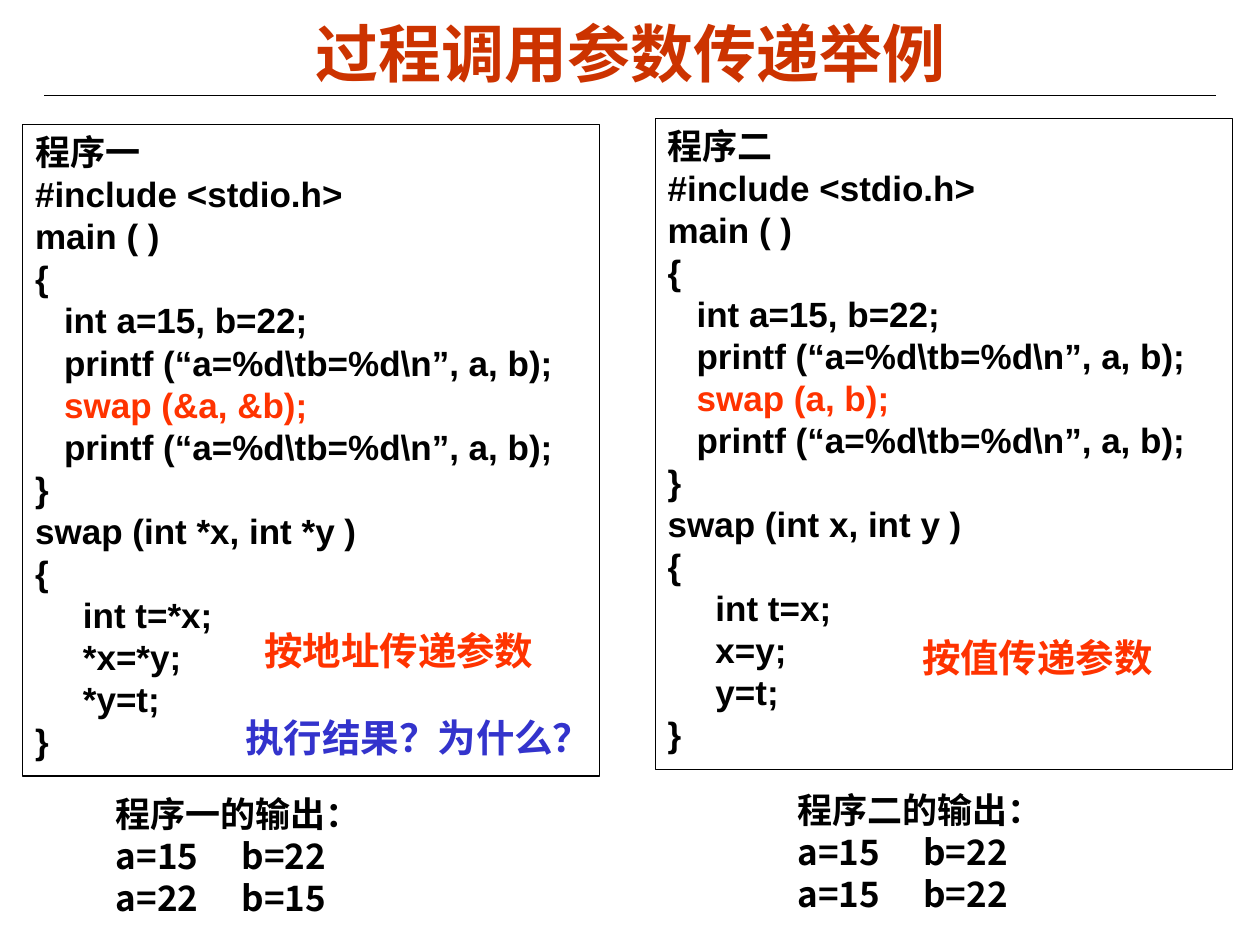
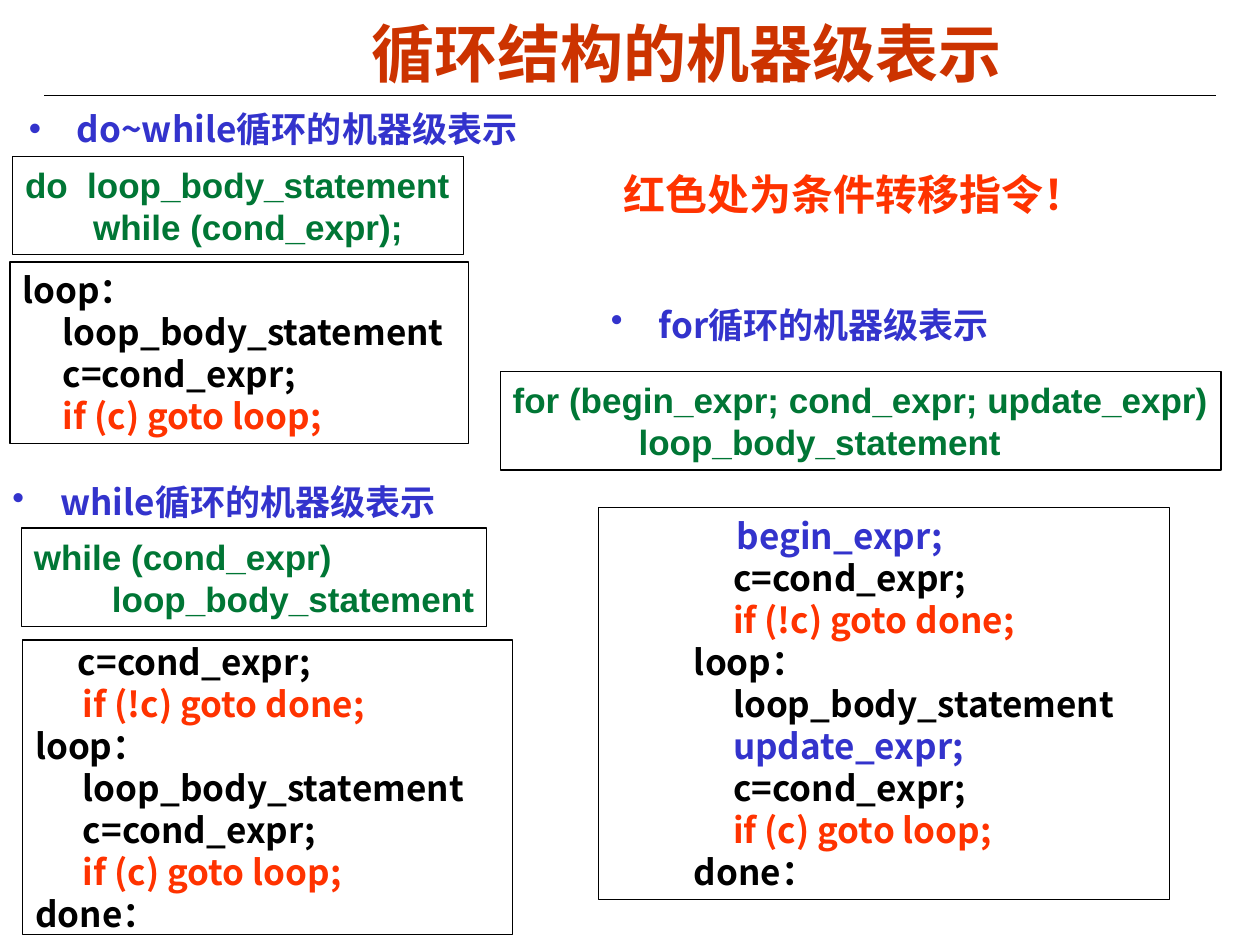
from lxml import etree
from pptx import Presentation
from pptx.dml.color import RGBColor
from pptx.enum.shapes import MSO_CONNECTOR, MSO_SHAPE
from pptx.enum.text import MSO_ANCHOR, MSO_AUTO_SIZE, PP_ALIGN
from pptx.oxml.ns import qn
from pptx.util import Inches, Pt

BLACK = RGBColor(0x00, 0x00, 0x00)
WHITE = RGBColor(0xFF, 0xFF, 0xFF)
RUST = RGBColor(0xCC, 0x33, 0x00)
RED = RGBColor(0xFF, 0x33, 0x00)
BLUE = RGBColor(0x33, 0x33, 0xCC)
GREEN = RGBColor(0x00, 0x76, 0x35)
LATIN, CJK = "Arial", "Noto Sans CJK SC"
LEADING = 1.2  # line pitch as a multiple of the text size


def place(sp, box):
    sp.left, sp.top, sp.width, sp.height = (Inches(v) for v in box)


def write(sp, lines, size=20, font=CJK, color=BLACK, align=PP_ALIGN.LEFT,
          anchor=MSO_ANCHOR.TOP, inset=(0.1, 0.05, 0.05, 0.05), spacing=1,
          bullet=False):
    """Fill sp with lines, each a string or (indent in inches, string[, colour])."""
    tf = sp.text_frame
    tf.word_wrap, tf.auto_size = True, MSO_AUTO_SIZE.NONE
    tf.vertical_anchor = anchor
    tf.margin_left, tf.margin_top, tf.margin_right, tf.margin_bottom = (
        Inches(v) for v in inset)
    for i, line in enumerate(lines):
        indent, text, *tint = (0, line) if isinstance(line, str) else line
        p = tf.paragraphs[0] if i == 0 else tf.add_paragraph()
        p.alignment = align
        p.space_before = Pt(0)
        p.line_spacing = Pt(round(size * LEADING * spacing, 1))
        pPr = p._p.get_or_add_pPr()
        hang = 0.38 if bullet else 0
        pPr.set("marL", str(Inches(indent + hang)))
        pPr.set("indent", str(Inches(-hang)))
        if bullet:
            etree.SubElement(pPr, qn("a:buChar")).set("char", "•")
        r = p.add_run()
        r.text = text
        r.font.size, r.font.bold, r.font.name = Pt(size), True, font
        r.font.color.rgb = tint[0] if tint else color
        etree.SubElement(r._r.get_or_add_rPr(), qn("a:ea")).set("typeface", CJK)


def add_label(s, box, lines, **fmt):
    sp = s.shapes.add_textbox(*(Inches(v) for v in box))
    write(sp, lines, **fmt)


def add_frame(s, box, lines, fill=None, **fmt):
    """Code in a thin black frame."""
    sp = s.shapes.add_shape(MSO_SHAPE.RECTANGLE, *(Inches(v) for v in box))
    sp.shadow.inherit = False
    if fill is None:
        sp.fill.background()
    else:
        sp.fill.solid()
        sp.fill.fore_color.rgb = fill
    sp.line.color.rgb, sp.line.width = BLACK, Pt(0.75)
    write(sp, lines, **fmt)


def add_header(s, title, shift=0):
    """Title with the rule below it; shift moves the centred title right."""
    rule = s.shapes.add_connector(MSO_CONNECTOR.STRAIGHT, Inches(0.35),
                                  Inches(0.76), Inches(9.65), Inches(0.76))
    rule.line.color.rgb, rule.line.width = BLACK, Pt(0.75)
    etree.SubElement(rule._element.spPr, qn("a:effectLst"))
    place(s.shapes.title, (0.5, 0.11, 9, 0.61))
    write(s.shapes.title, [title], size=36, font=LATIN, color=RUST,
          align=PP_ALIGN.CENTER, anchor=MSO_ANCHOR.MIDDLE,
          inset=(0.1 + 2 * shift, 0.05, 0.1, 0.05))


def add_program(s, box, name, call, params, body):
    """Listing of a program that calls swap."""
    show = (0.23, "printf (“a=%d\\tb=%d\\n”, a, b);")
    lines = [name, "#include <stdio.h>", "main ( )", "{",
             (0.23, "int a=15, b=22;"), show, (0.23, call, RED), show, "}",
             f"swap ({params} )", "{", *((0.38, step) for step in body), "}"]
    add_frame(s, box, lines, font=LATIN)


def add_output(s, box, name, after):
    add_label(s, box, [f"{name}的输出：", "a=15\tb=22", after],
              inset=(0.1, 0, 0.1, 0))


def add_syntax(s, box, lines, **fmt):
    add_frame(s, box, lines, font=LATIN, color=GREEN,
              anchor=MSO_ANCHOR.MIDDLE, **fmt)


def build_parameter_slide(prs):
    s = prs.slides.add_slide(prs.slide_layouts[5])
    add_header(s, "过程调用参数传递举例")
    # Outputs
    add_output(s, (0.82, 6.29, 2.56, 0.95), "程序一", "a=22\tb=15")
    add_output(s, (6.23, 6.26, 2.42, 0.98), "程序二", "a=15\tb=22")
    # Programs
    add_program(s, (0.18, 0.99, 4.58, 5.17), "程序一", "swap (&a, &b);",
                "int *x, int *y", ["int t=*x;", "*x=*y;", "*y=t;"])
    add_program(s, (5.2, 0.94, 4.58, 5.17), "程序二", "swap (a, b);",
                "int x, int y", ["int t=x;", "x=y;", "y=t;"])
    # Remarks
    add_label(s, (2, 4.93, 2.34, 0.47), ["按地址传递参数"], size=22, color=RED)
    add_label(s, (7.22, 4.98, 2.03, 0.47), ["按值传递参数"], size=22, color=RED)
    add_label(s, (1.85, 5.62, 2.95, 0.47), ["执行结果？为什么？"], size=22, color=BLUE)


def build_loop_slide(prs):
    s = prs.slides.add_slide(prs.slide_layouts[1])
    add_header(s, "循环结构的机器级表示", shift=0.45)
    heading = dict(color=BLUE, bullet=True)
    body, test = "loop_body_statement", "c=cond_expr;"
    again, leave = "if (c) goto loop;", "if (!c) goto done;"

    # do~while loop
    sp = s.placeholders[1]
    place(sp, (0.13, 0.75, 4.33, 0.54))
    write(sp, ["do~while循环的机器级表示"], spacing=1.15, **heading)
    add_syntax(s, (0.1, 1.24, 3.58, 0.78),
               [f"do  {body}", (0.54, "while (cond_expr);")], fill=WHITE)
    add_frame(s, (0.08, 2.08, 3.64, 1.44),
              ["loop：", (0.32, body), (0.32, test), (0.32, again, RED)],
              anchor=MSO_ANCHOR.MIDDLE)

    # while loop
    add_label(s, (0, 3.65, 4.33, 0.54), ["while循环的机器级表示"],
              spacing=1.35, **heading)
    add_syntax(s, (0.17, 4.19, 3.69, 0.78), ["while (cond_expr)", (0.62, body)])
    add_frame(s, (0.18, 5.08, 3.89, 2.34),
              [(0.34, test), (0.38, leave, RED), "loop：", (0.38, body),
               (0.38, test), (0.38, again, RED), "done："],
              inset=(0.1, 0, 0.1, 0))

    # for loop
    add_label(s, (4.75, 2.31, 4.33, 0.54), ["for循环的机器级表示"],
              spacing=1.15, **heading)
    add_syntax(s, (3.97, 2.95, 5.72, 0.78),
               ["for (begin_expr; cond_expr; update_expr)", (1, body)])
    add_frame(s, (4.75, 4.03, 4.53, 3.11),
              [(1, "begin_expr;", BLUE), (0.97, test), (0.97, leave, RED),
               (0.66, "loop："), (0.97, body), (0.97, "update_expr;", BLUE),
               (0.97, test), (0.97, again, RED), (0.66, "done：")],
              anchor=MSO_ANCHOR.MIDDLE)

    # Remark
    add_label(s, (4.85, 1.29, 4.28, 0.5), ["红色处为条件转移指令！"],
              size=24, color=RED)


prs = Presentation()
prs.slide_width, prs.slide_height = Inches(10), Inches(7.5)
build_parameter_slide(prs)
build_loop_slide(prs)
prs.save("out.pptx")
